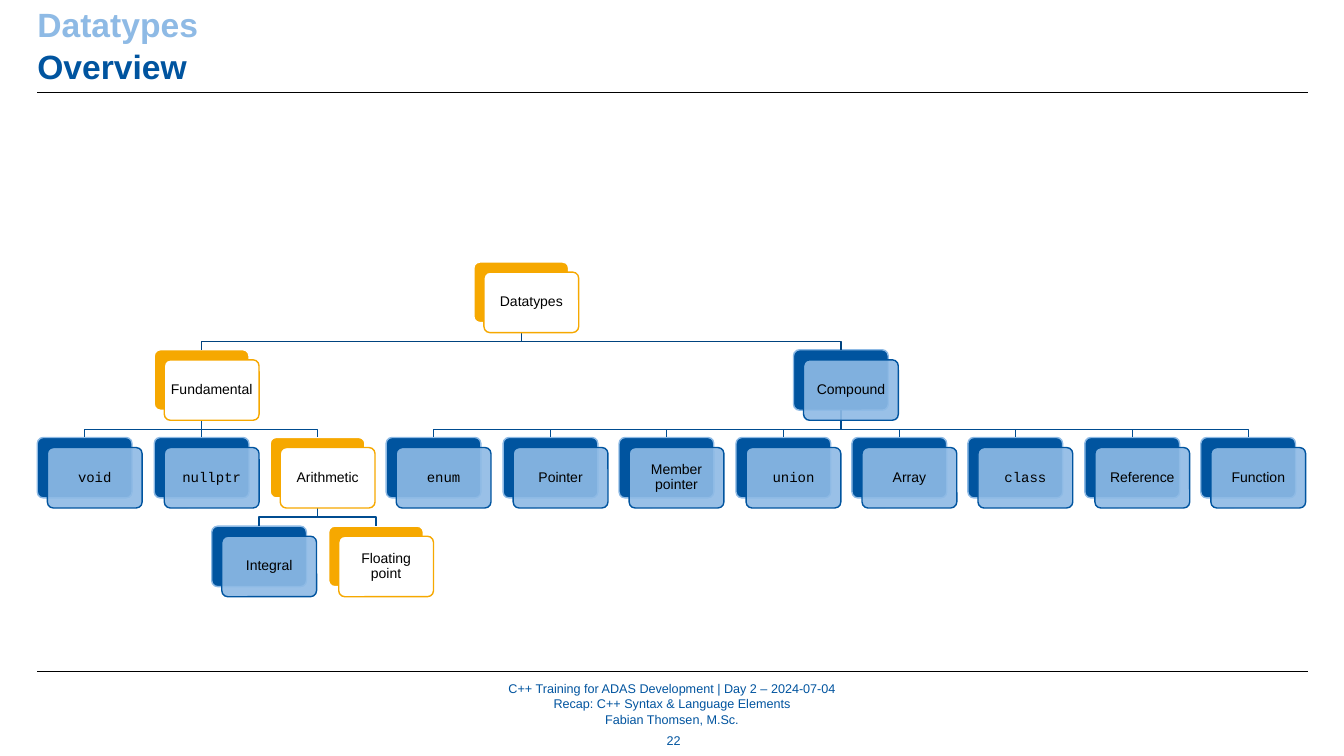
from lxml.etree import SubElement
from pptx import Presentation
from pptx.dml.color import RGBColor
from pptx.enum.shapes import MSO_CONNECTOR as Link, MSO_SHAPE as Preset
from pptx.enum.text import MSO_ANCHOR as Anchor, PP_ALIGN as Align
from pptx.oxml.ns import qn
from pptx.util import Pt

PX = 9144
BLUE = RGBColor(0x00, 0x54, 0x9F)
LIGHT = RGBColor(0x8E, 0xBA, 0xE5)
ORANGE = RGBColor(0xF6, 0xA8, 0x00)
WHITE = RGBColor(0xFF, 0xFF, 0xFF)
BLACK = RGBColor(0x00, 0x00, 0x00)
ROOT_LINK = RGBColor(0x00, 0x43, 0x7F)
LEAF_LINK = RGBColor(0x00, 0x4C, 0x90)

BOX_WIDTH, BOX_HEIGHT, OFFSET, BEND = 94, 60, 10, 79

NODES = [
    ("Datatypes", 3.75, 0, None, "Arial", True),
    ("Fundamental", 1, 1, "Datatypes", "Arial", True),
    ("Compound", 6.5, 1, "Datatypes", "Arial", False),
    ("void", 0, 2, "Fundamental", "Courier New", False),
    ("nullptr", 1, 2, "Fundamental", "Courier New", False),
    ("Arithmetic", 2, 2, "Fundamental", "Arial", True),
    ("enum", 3, 2, "Compound", "Courier New", False),
    ("Pointer", 4, 2, "Compound", "Arial", False),
    ("Member pointer", 5, 2, "Compound", "Arial", False),
    ("union", 6, 2, "Compound", "Courier New", False),
    ("Array", 7, 2, "Compound", "Arial", False),
    ("class", 8, 2, "Compound", "Courier New", False),
    ("Reference", 9, 2, "Compound", "Arial", False),
    ("Function", 10, 2, "Compound", "Arial", False),
    ("Integral", 1.5, 3, "Arithmetic", "Arial", False),
    ("Floating point", 2.5, 3, "Arithmetic", "Arial", True),
]


def write(shape, lines, anchor, align, spacing, inset, **font):
    frame = shape.text_frame
    margins = dict.fromkeys(
        ("margin_left", "margin_top", "margin_right", "margin_bottom"), inset * PX)
    for name, value in {"word_wrap": True, "vertical_anchor": anchor, **margins}.items():
        setattr(frame, name, value)
    for index, (text, color) in enumerate(lines):
        para = frame.add_paragraph() if index else frame.paragraphs[0]
        para.alignment, para.line_spacing = align, spacing
        para.space_before = para.space_after = Pt(0)
        span = para.add_run()
        span.text = text
        span.font.color.rgb = color
        for name, value in font.items():
            setattr(span.font, name, value)


def add_box(left, top, fill, line):
    box = page.shapes.add_shape(
        Preset.ROUNDED_RECTANGLE, left * PX, top * PX, BOX_WIDTH * PX, BOX_HEIGHT * PX)
    box.adjustments[0] = 0.1
    box.shadow.inherit = False
    box.fill.solid()
    box.fill.fore_color.rgb = fill
    box.line.color.rgb = line
    box.line.width = Pt(1)
    return box


deck = Presentation()
deck.slide_width, deck.slide_height = 1333 * PX, 750 * PX
page = deck.slides.add_slide(deck.slide_layouts[5])

title = page.shapes.title
for name, value in {"left": 37, "top": 5, "width": 1260, "height": 81}.items():
    setattr(title, name, value * PX)
write(title, [("Datatypes", LIGHT), ("Overview", BLUE)], Anchor.BOTTOM, Align.LEFT,
      1.05, 0, name="Arial", size=Pt(24), bold=True)

for y in (92, 666):
    rule = page.shapes.add_connector(Link.STRAIGHT, 37 * PX, y * PX, 1297 * PX, y * PX)
    rule.line.color.rgb = BLACK
    rule.line.width = Pt(0.5)
    SubElement(rule._element.spPr, qn("a:effectLst"))

footer_lines = ["C++ Training for ADAS Development | Day 2 – 2024-07-04",
                "Recap: C++ Syntax & Language Elements", "Fabian Thomsen, M.Sc."]
for lines, left, top, width, height in (
        (footer_lines, 343, 675, 647, 46), (["22"], 642, 721, 52, 26)):
    note = page.shapes.add_textbox(left * PX, top * PX, width * PX, height * PX)
    write(note, [(line, BLUE) for line in lines], Anchor.MIDDLE, Align.CENTER,
          1.05, 0, name="Arial", size=Pt(9))

places, backs = {}, {}
for label, column, row, parent, face, marked in NODES:
    left, top = round(37.2 + 115.4 * column), round(260 + 87.2 * row)
    places[label] = left, top
    colors = (ORANGE, WHITE) if marked else (BLUE, LIGHT)
    backs[label] = add_box(left, top, *colors)

for label, column, row, parent, face, marked in NODES:
    if parent is None:
        continue
    start_x, end_x = (places[name][0] + BOX_WIDTH // 2 for name in (parent, label))
    parent_top, end_y = places[parent][1], places[label][1]
    start_y, bend_y = parent_top + BOX_HEIGHT, parent_top + BEND
    if start_x == end_x:
        link = page.shapes.add_connector(
            Link.STRAIGHT, start_x * PX, start_y * PX, end_x * PX, end_y * PX)
        link.begin_connect(backs[parent], 2)
        link.end_connect(backs[label], 0)
        SubElement(link._element.spPr, qn("a:effectLst"))
    else:
        outline = page.shapes.build_freeform(start_x, start_y, scale=PX)
        outline.add_line_segments(
            [(start_x, bend_y), (end_x, bend_y), (end_x, end_y)], close=False)
        link = outline.convert_to_shape()
        link.fill.background()
        link.shadow.inherit = False
    link.line.color.rgb = ROOT_LINK if row == 1 else LEAF_LINK
    link.line.width = Pt(1)

for label, column, row, parent, face, marked in NODES:
    left, top = places[label]
    colors = (WHITE, ORANGE) if marked else (LIGHT, BLUE)
    front = add_box(left + OFFSET, top + OFFSET, *colors)
    if not marked:
        color = front._element.spPr.find(qn("a:solidFill"))[0]
        SubElement(color, qn("a:alpha"), val="90000")
    write(front, [(label, BLACK)], Anchor.MIDDLE, Align.CENTER, 0.9, 4,
          name=face, size=Pt(10))

deck.save("out.pptx")
